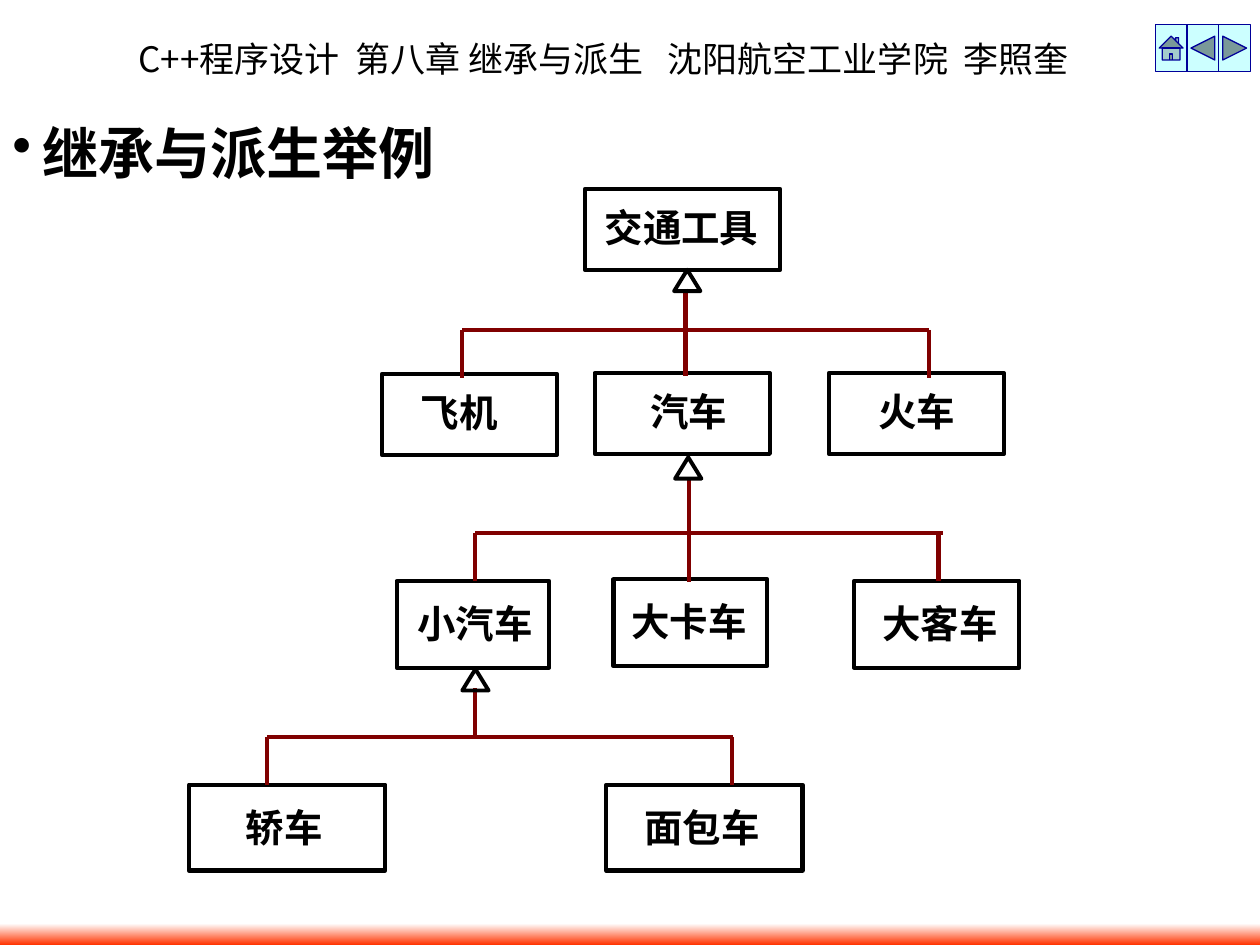
import pptx
import pptx.util
import pptx.dml.color
import pptx.enum.shapes
import pptx.enum.text
import pptx.oxml.ns
import lxml.etree

Cm = pptx.util.Cm
Pt = pptx.util.Pt
Kind = pptx.enum.shapes.MSO_SHAPE
Fit = pptx.enum.text.MSO_AUTO_SIZE
SANS = "Noto Sans CJK SC"


def tint(color, code):
    color.rgb = pptx.dml.color.RGBColor.from_string(code)


def place(kind, left, top, width, height, edge, weight):
    shape = shapes.add_shape(kind, Cm(left), Cm(top), Cm(width), Cm(height))
    shape.shadow.inherit = False
    shape.fill.background()
    if edge:
        tint(shape.line.color, edge)
        shape.line.width = Pt(weight)
    else:
        shape.line.fill.background()
    return shape


deck = pptx.Presentation()
deck.slide_width, deck.slide_height = Cm(25.4), Cm(19.05)
shapes = deck.slides.add_slide(deck.slide_layouts[6]).shapes

# Course header
head = shapes.add_textbox(Cm(2.54), Cm(0.64), Cm(20.96), Cm(1.12)).text_frame
head.word_wrap = True
head.auto_size = Fit.SHAPE_TO_FIT_TEXT
para = head.paragraphs[0]
for text, face in [
    ("C++程序设计 ", "Noto Sans CJK JP"),
    (" 第八章 继承与派生   ", SANS),
    ("沈阳航空工业学院  ", "Noto Sans CJK JP"),
    ("李照奎", SANS),
]:
    run = para.add_run()
    run.text = text
    run.font.name = face
para.font.size = Pt(20)
tint(para.font.color, "000000")

# Footer band fading downwards
band = place(Kind.RECTANGLE, 0, 18.62, 25.4, 0.43, None, 0)
band.fill.gradient()
band.fill.gradient_angle = 270
for stop, code in zip(band.fill.gradient_stops, ["FFFFFF", "FF3300"]):
    tint(stop.color, code)

# Navigation buttons
for i, kind in enumerate([
    Kind.ACTION_BUTTON_HOME,
    Kind.ACTION_BUTTON_BACK_OR_PREVIOUS,
    Kind.ACTION_BUTTON_FORWARD_OR_NEXT,
]):
    key = place(kind, 23.29 + 0.64 * i, 0.5, 0.64, 0.94, "000099", 0.75)
    key.fill.solid()
    tint(key.fill.fore_color, "CCFFFF")

# Bulleted title
title = shapes.add_textbox(0, Cm(2.11), Cm(12.7), Cm(1.9)).text_frame
title.word_wrap = True
title.vertical_anchor = pptx.enum.text.MSO_ANCHOR.MIDDLE
para = title.paragraphs[0]
para.text = "继承与派生举例"
props = para._p.get_or_add_pPr()
props.set("marL", str(Cm(0.61)))
props.set("indent", str(Cm(-0.61)))
mark = lxml.etree.SubElement(props, pptx.oxml.ns.qn("a:buChar"))
mark.set("char", "•")
para.font.name = "Times New Roman"
para.font.size = Pt(32)
para.font.bold = True
tint(para.font.color, "000000")

# Class boxes: text, font, left, top, width, height, label centre
for text, face, left, top, width, height, mid in [
    ("交通工具", SANS, 11.79, 3.81, 3.94, 1.63, 13.74),
    ("飞机", SANS, 7.7, 7.54, 3.53, 1.63, 9.26),
    ("汽车", SANS, 11.99, 7.52, 3.53, 1.63, 13.88),
    ("火车", SANS, 16.71, 7.52, 3.53, 1.63, 18.48),
    ("小汽车", "Arial", 8, 11.71, 3.07, 1.75, 9.58),
    ("大卡车", "Arial", 12.37, 11.68, 3.1, 1.75, 13.89),
    ("大客车", "Arial", 17.22, 11.71, 3.33, 1.75, 18.95),
    ("轿车", "Arial", 3.81, 15.82, 3.96, 1.73, 5.73),
    ("面包车", "Arial", 12.22, 15.82, 3.96, 1.73, 14.15),
]:
    place(Kind.RECTANGLE, left, top, width, height, "000000", 2.38)
    span = 0.78 * len(text)
    drop = 0.3 if face == SANS else 0.38
    label = shapes.add_textbox(Cm(mid - span / 2), Cm(top + drop),
                               Cm(span), Cm(0.94)).text_frame
    label.margin_left = label.margin_right = 0
    label.margin_top = label.margin_bottom = 0
    label.word_wrap = False
    label.auto_size = Fit.SHAPE_TO_FIT_TEXT
    para = label.paragraphs[0]
    para.text = text
    para.alignment = pptx.enum.text.PP_ALIGN.CENTER
    para.font.name = face
    para.font.size = Pt(22)
    para.font.bold = True
    tint(para.font.color, "000000")

# Inheritance trees: stem x, top, end; bar y, left, right; branch x's, end
for stem, top, end, bar, left, right, twigs, foot in [
    (13.82, 5.82, 7.57, 6.65, 9.32, 18.72, (9.32, 18.72), 7.62),
    (13.89, 9.63, 11.73, 10.74, 9.58, 19, (9.58, 18.92), 11.71),
    (9.58, 13.87, 14.86, 14.86, 5.38, 14.78, (5.38, 14.76), 15.82),
]:
    lines = [(stem, top, stem, end), (left, bar, right, bar)]
    lines += [(x, bar, x, foot) for x in twigs]
    for ends in lines:
        line = shapes.add_connector(pptx.enum.shapes.MSO_CONNECTOR.STRAIGHT,
                                    *[Cm(v) for v in ends])
        tint(line.line.color, "800000")
        line.line.width = Pt(2.38)
        lines_props = line._element.spPr
        lxml.etree.SubElement(lines_props, pptx.oxml.ns.qn("a:effectLst"))

# Arrowheads pointing at the base classes
for left, top in [(13.59, 5.44), (13.61, 9.22), (9.32, 13.49)]:
    place(Kind.ISOSCELES_TRIANGLE, left, top, 0.53, 0.43, "000000", 2.25)

deck.save("out.pptx")
